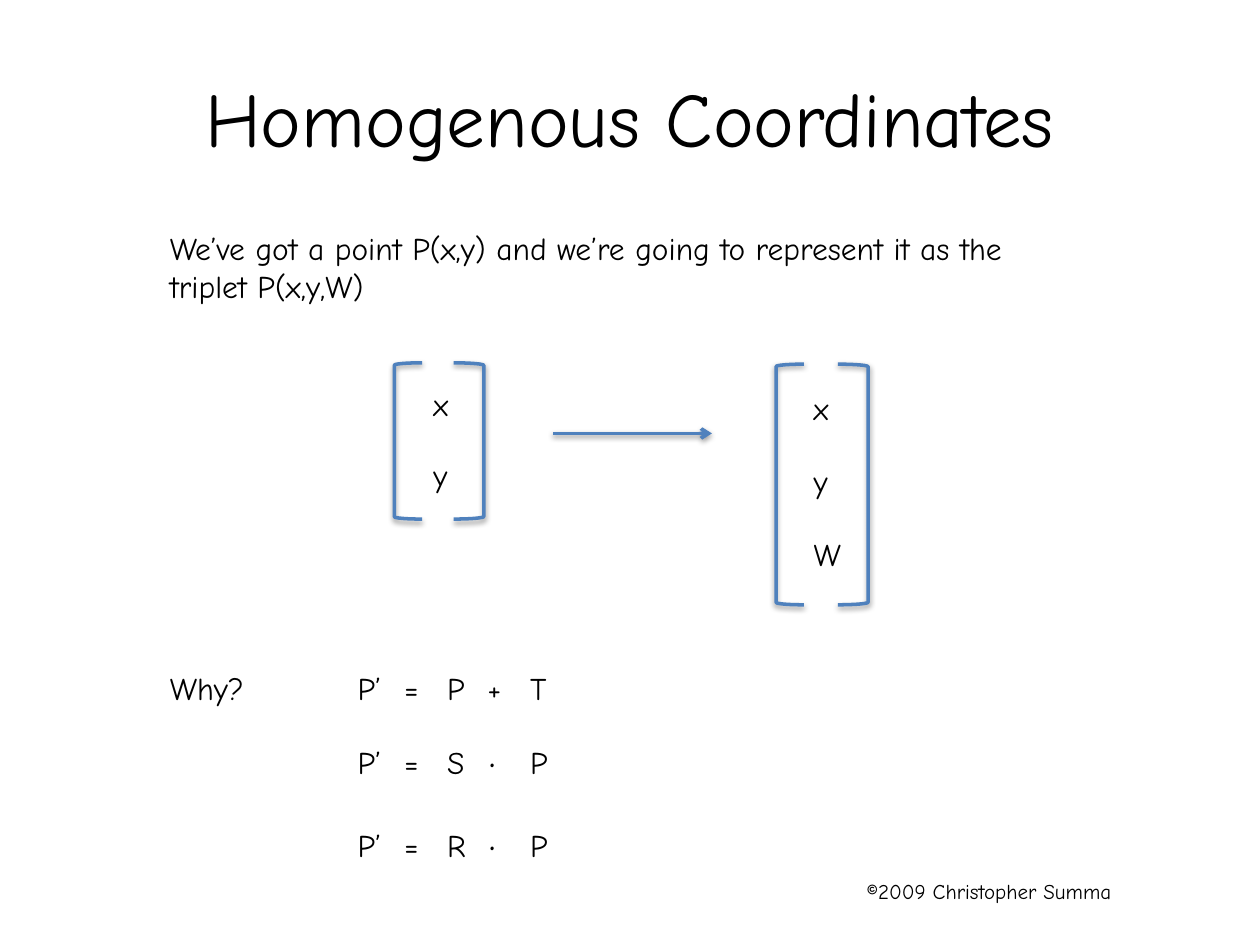
from pptx import Presentation, oxml, util as u
from pptx.dml.color import RGBColor
from pptx.enum import shapes, text
from pptx.oxml import ns

FONT = "Comic Neue"
BLACK = RGBColor(0x00, 0x00, 0x00)
BLUE = RGBColor(0x4F, 0x81, 0xBD)
SHADOW = (
    f'<a:effectLst {ns.nsdecls("a")}>'
    '<a:outerShdw blurRad="40000" dist="20000" dir="5400000" rotWithShape="0">'
    '<a:srgbClr val="000000"><a:alpha val="38000"/></a:srgbClr>'
    "</a:outerShdw></a:effectLst>"
)


def inches(*lengths):
    """Turn plain numbers into lengths."""
    return [u.Inches(length) for length in lengths]


def write(frame, words, size=18, align=text.PP_ALIGN.LEFT):
    """Fill a text frame with one paragraph for each line of words."""
    for index, line in enumerate(words.split("\n")):
        para = frame.paragraphs[0] if index == 0 else frame.add_paragraph()
        para.alignment = align
        span = para.add_run()
        span.text = line
        span.font.name = FONT
        span.font.size = u.Pt(size)
        span.font.color.rgb = BLACK


def add_text(parts, words, left, top, width, height=0.4, size=18, wrap=False):
    """Add a text box that grows with its words."""
    box = parts.add_textbox(*inches(left, top, width, height))
    box.text_frame.word_wrap = wrap
    box.text_frame.auto_size = text.MSO_AUTO_SIZE.SHAPE_TO_FIT_TEXT
    write(box.text_frame, words, size)


def outline(shape):
    """Give a shape or connector the blue line and soft shadow."""
    shape.line.color.rgb = BLUE
    shape.line.width = u.Pt(2)
    shape._element.spPr.append(oxml.parse_xml(SHADOW))


def add_title(page, words, left, top, width, height):
    """Place and format the title."""
    title = page.shapes.title
    title.left, title.top, title.width, title.height = inches(left, top, width, height)
    title.text_frame.vertical_anchor = text.MSO_ANCHOR.MIDDLE
    write(title.text_frame, words, 44, text.PP_ALIGN.CENTER)


def add_vector(page, entries, left, top, width, height, inset, first, step):
    """Draw a bracketed column of entries, inset from the box's corner."""
    for row, entry in enumerate(entries):
        entry_width = 0.45 if entry == "W" else 0.35
        add_text(page.shapes, entry, left + inset, top + first + row * step, entry_width)
    kinds = shapes.MSO_SHAPE
    for kind, x, bracket_width in (
        (kinds.LEFT_BRACKET, left, 0.22),
        (kinds.RIGHT_BRACKET, left + width - 0.24, 0.24),
    ):
        bracket = page.shapes.add_shape(kind, *inches(x, top, bracket_width, height))
        bracket.fill.background()
        outline(bracket)


def add_arrow(page, left, top, right):
    """Draw the level arrow between the vectors."""
    arrow = page.shapes.add_connector(
        shapes.MSO_CONNECTOR.STRAIGHT, *inches(left, top, right, top)
    )
    outline(arrow)
    arrow.line._get_or_add_ln().append(
        oxml.parse_xml(f'<a:tailEnd {ns.nsdecls("a")} type="arrow"/>')
    )


def add_equation(page, terms, left, top):
    """Group the five terms of an equation in aligned columns."""
    parts = page.shapes.add_group_shape().shapes
    columns = ((0, 0.41), (0.37, 0.33), (0.71, 0.35), (1.03, 0.34), (1.37, 0.35))
    for term, (offset, width) in zip(terms.split(), columns):
        if term == ".":
            add_text(parts, term, left + 1.05, top - 0.14, 0.3, 0.5, size=24)
        else:
            add_text(parts, term, left + offset, top, width)


def main():
    """Build the slide and save it."""
    deck = Presentation()
    deck.slide_width, deck.slide_height = inches(10, 7.5)
    page = deck.slides.add_slide(deck.slide_layouts[5])
    add_text(page.shapes, "©2009 Christopher Summa", 6.78, 6.92, 2.47, 0.3, size=12, wrap=True)
    add_title(page, "Homogenous Coordinates", 0.5, 0.3, 9, 1.25)
    add_text(
        page.shapes,
        "We’ve got a point P(x,y) and we’re going to represent it as the\ntriplet P(x,y,W)",
        1.25, 1.77, 7.41, 0.71,
    )
    add_vector(page, "xy", 3.13, 2.88, 0.71, 1.24, inset=0.21, first=0.13, step=0.56)
    add_vector(page, "xyW", 6.16, 2.89, 0.73, 1.91, inset=0.2, first=0.15, step=0.58)
    add_arrow(page, 4.39, 3.44, 5.65)
    add_text(page.shapes, "Why?", 1.25, 5.26, 0.84)
    for terms, top in (("P’ = P + T", 5.26), ("P’ = S . P", 5.85), ("P’ = R . P", 6.51)):
        add_equation(page, terms, 2.74, top)
    deck.save("out.pptx")


if __name__ == "__main__":
    main()
